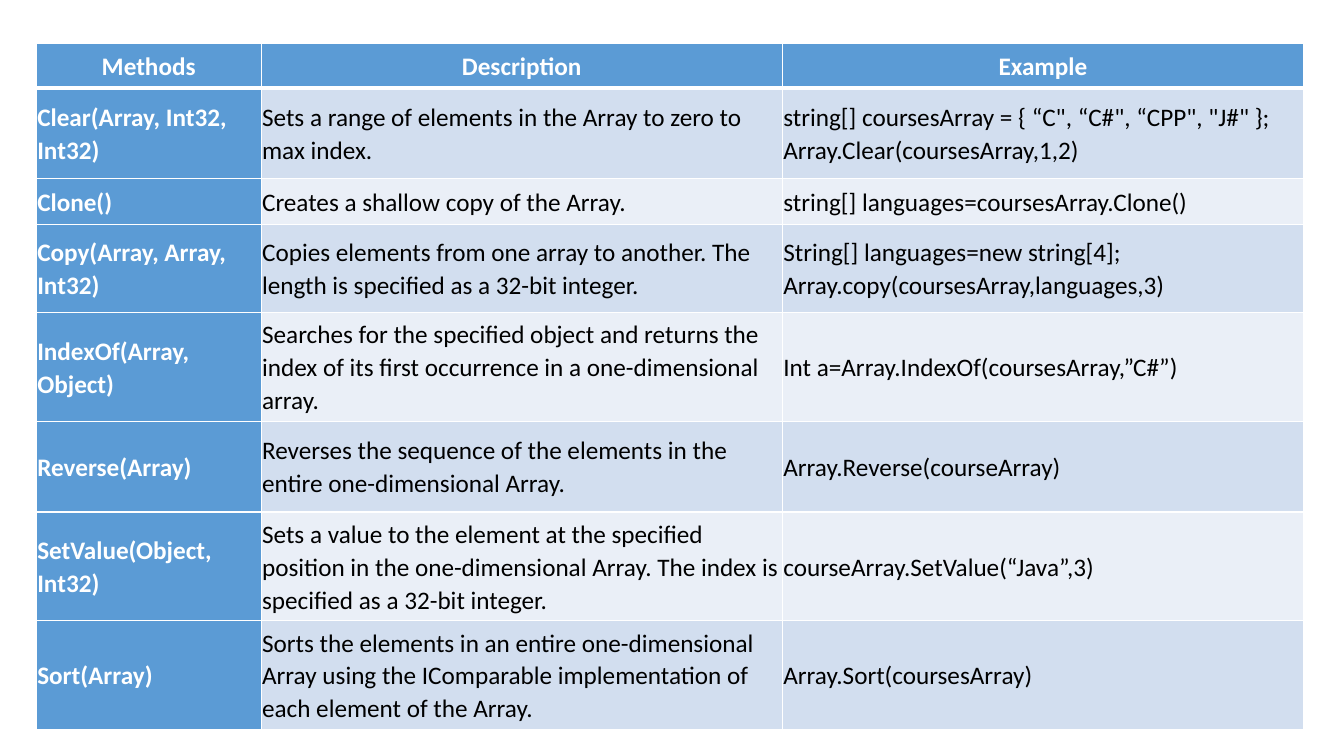
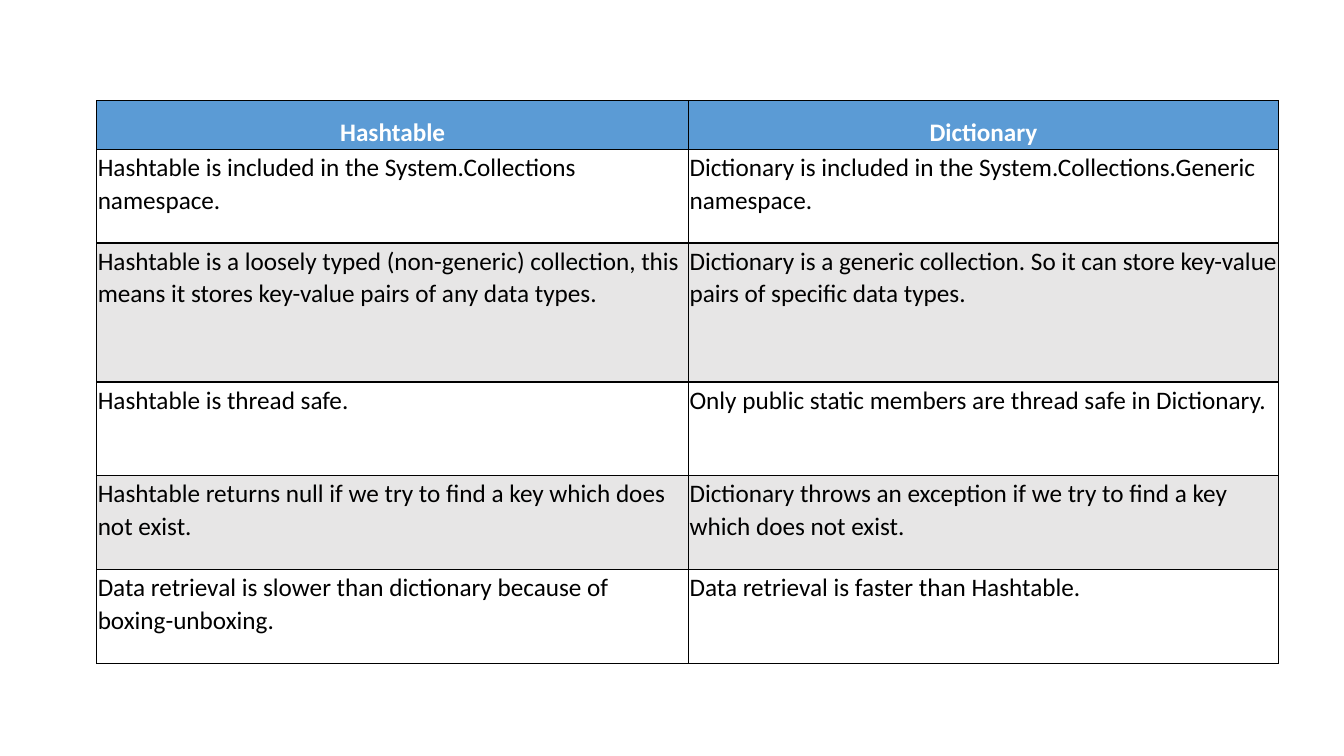
from lxml.etree import SubElement
from pptx import Presentation
from pptx.dml.color import RGBColor
from pptx.enum.text import MSO_ANCHOR as Anchor, PP_ALIGN as Align
from pptx.oxml.ns import qn
from pptx.util import Pt

PX = 9144  # 100 px to the inch
BLUE, WHITE, BLACK, GRAY = "5B9BD5", "FFFFFF", "000000", "E7E6E6"
DARK, PALE = "D2DEEF", "EAEFF7"


def rgb(code):
    return RGBColor.from_string(code)


def edge(cell, side, code, width):
    """Draw one border of a cell; side is L, R, T or B."""
    line = SubElement(cell._tc.get_or_add_tcPr(), qn("a:ln" + side), w=str(Pt(width)))
    fill = SubElement(line, qn("a:solidFill"))
    SubElement(fill, qn("a:srgbClr"), val=code)


methods = [
    ("Methods", "Description", "Example"),
    ("Clear(Array, Int32, Int32)",
     "Sets a range of elements in the Array to zero to max index.",
     'string[] coursesArray = { “C", “C#", “CPP", "J#" };\nArray.Clear(coursesArray,1,2)'),
    ("Clone()",
     "Creates a shallow copy of the Array.",
     "string[] languages=coursesArray.Clone()"),
    ("Copy(Array, Array, Int32)",
     "Copies elements from one array to another. The length is specified as a 32-bit integer.",
     "String[] languages=new string[4];\nArray.copy(coursesArray,languages,3)"),
    ("IndexOf(Array, Object)",
     "Searches for the specified object and returns the index of its first occurrence "
     "in a one-dimensional array.",
     "Int a=Array.IndexOf(coursesArray,”C#”)"),
    ("Reverse(Array)",
     "Reverses the sequence of the elements in the entire one-dimensional Array.",
     "Array.Reverse(courseArray)"),
    ("SetValue(Object, Int32)",
     "Sets a value to the element at the specified position in the one-dimensional Array. "
     "The index is specified as a 32-bit integer.",
     "courseArray.SetValue(“Java”,3)"),
    ("Sort(Array)",
     "Sorts the elements in an entire one-dimensional Array using the IComparable "
     "implementation of each element of the Array.",
     "Array.Sort(coursesArray)"),
]
compare = [
    ("Hashtable", "Dictionary"),
    ("Hashtable is included in the System.Collections namespace.",
     "Dictionary is included in the System.Collections.Generic namespace."),
    ("Hashtable is a loosely typed (non-generic) collection, this means it stores "
     "key-value pairs of any data types.",
     "Dictionary is a generic collection. So it can store key-value pairs of specific data types."),
    ("Hashtable is thread safe.",
     "Only public static members are thread safe in Dictionary."),
    ("Hashtable returns null if we try to find a key which does not exist.",
     "Dictionary throws an exception if we try to find a key which does not exist."),
    ("Data retrieval is slower than dictionary because of boxing-unboxing.",
     "Data retrieval is faster than Hashtable."),
]

# words, left, top, column widths, row heights, border, rule under head,
# odd and even row fill, blue first column, head anchor, body anchor
tables = [
    (methods, 36, 43, [223, 517, 517], [44, 90, 46, 87, 108, 90, 108, 108],
     WHITE, 3, (DARK, PALE), True, Anchor.MIDDLE, Anchor.MIDDLE),
    (compare, 96, 100, [587, 585], [48, 93, 138, 93, 93, 93],
     BLACK, 1, (None, GRAY), False, Anchor.BOTTOM, Anchor.TOP),
]

deck = Presentation()
deck.slide_width, deck.slide_height = 1333 * PX, 750 * PX

for words, left, top, wide, high, border, rule, bands, lead, head, body in tables:
    slide = deck.slides.add_slide(deck.slide_layouts[6])
    grid = slide.shapes.add_table(len(high), len(wide), left * PX, top * PX,
                                  sum(wide) * PX, sum(high) * PX).table
    for col, width in zip(grid.columns, wide):
        col.width = width * PX
    for r, (row, height) in enumerate(zip(grid.rows, high)):
        row.height = height * PX
        for c, cell in enumerate(row.cells):
            strong = r == 0 or (lead and c == 0)
            cell.text = words[r][c]
            cell.vertical_anchor = body if r else head
            cell.margin_left = cell.margin_right = PX
            cell.margin_top = cell.margin_bottom = PX
            edge(cell, "L", border, 1)
            edge(cell, "R", border, 1)
            edge(cell, "T", border, rule if r == 1 else 1)
            edge(cell, "B", border, rule if r == 0 else 1)
            fill = BLUE if strong else bands[(r - 1) % 2]
            if fill:
                cell.fill.solid()
                cell.fill.fore_color.rgb = rgb(fill)
            else:
                cell.fill.background()
            for para in cell.text_frame.paragraphs:
                para.alignment = Align.LEFT if r else Align.CENTER
                para.line_spacing = 1.07
                font = para.font
                font.name, font.size, font.bold = "Calibri", Pt(18), strong
                font.color.rgb = rgb(WHITE if strong else BLACK)

deck.save("out.pptx")
